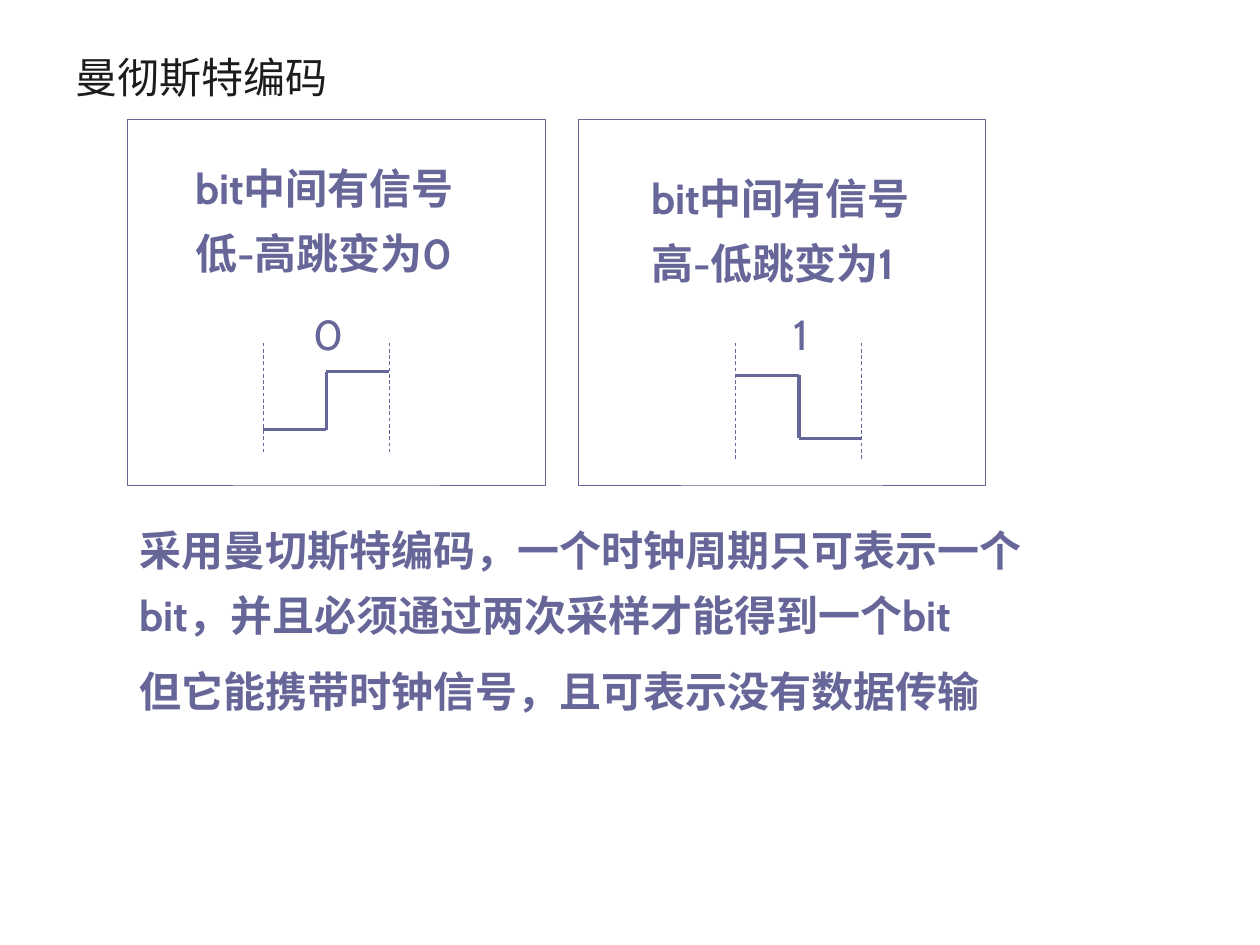
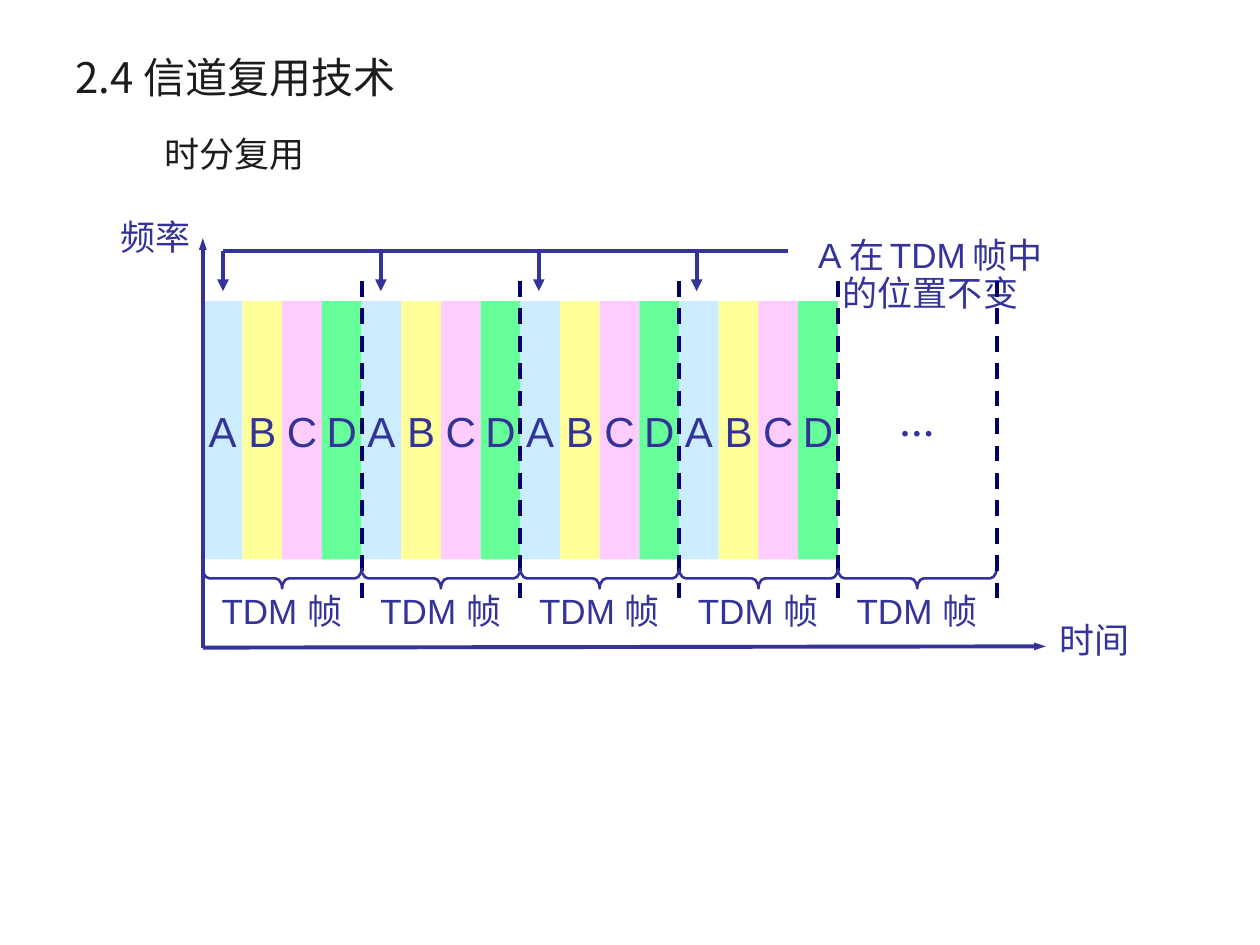
from lxml import etree
from pptx import Presentation
from pptx.dml.color import RGBColor
from pptx.enum.dml import MSO_LINE
from pptx.enum.shapes import MSO_CONNECTOR, MSO_SHAPE
from pptx.enum.text import MSO_ANCHOR, MSO_AUTO_SIZE, PP_ALIGN
from pptx.oxml.ns import qn
from pptx.util import Inches, Pt

STRAIGHT = MSO_CONNECTOR.STRAIGHT
RECT, BRACE = MSO_SHAPE.RECTANGLE, MSO_SHAPE.LEFT_BRACE
DASH = MSO_LINE.DASH
TOP, MIDDLE = MSO_ANCHOR.TOP, MSO_ANCHOR.MIDDLE
LEFT, CENTER = PP_ALIGN.LEFT, PP_ALIGN.CENTER
FIXED = MSO_AUTO_SIZE.NONE

COLORS = {
    "ink": "1C1C1C",
    "slate": "666699",
    "blue": "333399",
    "navy": "000066",
    "A": "CCECFF",
    "B": "FFFF99",
    "C": "FFCCFF",
    "D": "66FF99",
}
HAN = "Noto Sans CJK SC"
HEAD_BOX = (0.5, 0.3, 9, 0.61)


def rgb(name):
    return RGBColor.from_string(COLORS[name])


def place(shape, box):
    shape.left, shape.top, shape.width, shape.height = map(Inches, box)


def write(shape, paras, font, size, color, bold=False, align=LEFT,
          anchor=TOP, wrap=True, lead=None, gap=0):
    frame = shape.text_frame
    frame.auto_size = FIXED
    frame.word_wrap = wrap
    frame.vertical_anchor = anchor
    for i, runs in enumerate(paras):
        para = frame.add_paragraph() if i else frame.paragraphs[0]
        para.alignment = align
        para.line_spacing = lead
        para.space_before = Pt(gap if i else 0)
        for text, points in runs:
            run = para.add_run()
            run.text = text
            run.font.name = font
            run.font.size = Pt(points or size)
            run.font.bold = bold
            run.font.color.rgb = rgb(color)
            east = etree.SubElement(run.font._element, qn("a:ea"))
            east.set("typeface", HAN)


def label(slide, box, paras, *style, **more):
    shape = slide.shapes.add_textbox(*map(Inches, box))
    if isinstance(paras, str):
        paras = [[(paras, None)]]
    write(shape, paras, *style, **more)


def title(slide, text, box, size, align=LEFT):
    shape = slide.shapes.title
    place(shape, box)
    write(shape, [[(text, None)]], HAN, size, "ink", align=align, anchor=MIDDLE)


def outline(shape, color, width):
    shape.line.color.rgb = rgb(color)
    shape.line.width = Pt(width)


def line(slide, start, end, color, width, dash=False, head=None):
    link = slide.shapes.add_connector(STRAIGHT, *map(Inches, start + end))
    outline(link, color, width)
    if dash:
        link.line.dash_style = DASH
    if head:
        tip = etree.SubElement(link.line._get_or_add_ln(), qn("a:tailEnd"))
        tip.set("type", "triangle")
        tip.set("w", head)
    etree.SubElement(link._element.spPr, qn("a:effectLst"))


def frame(slide, box):
    shape = slide.shapes.add_shape(RECT, *map(Inches, box))
    shape.shadow.inherit = False
    shape.fill.background()
    outline(shape, "slate", 0.5)


def slot(slide, box, name):
    shape = slide.shapes.add_shape(RECT, *map(Inches, box))
    shape.shadow.inherit = False
    shape.fill.solid()
    shape.fill.fore_color.rgb = rgb(name)
    shape.line.fill.background()
    write(shape, [[(name, None)]], "Arial", 24, "blue", align=CENTER,
          anchor=MIDDLE, wrap=False)


def brace(slide, left, top, width, depth):
    mid = left + width / 2
    box = (mid - depth / 2, top + depth / 2 - width / 2, depth, width)
    shape = slide.shapes.add_shape(BRACE, *map(Inches, box))
    shape.rotation = 270
    shape.adjustments[0] = 0.33
    shape.shadow.inherit = False
    shape.fill.background()
    outline(shape, "blue", 1.5)


def wave(slide, left, base, first, last, bit):
    mid, right = left + 0.5, left + 1
    for x in (left, right):
        line(slide, (x, 2.72), (x, base), "slate", 0.5, dash=True)
    points = [(left, first), (mid, first), (mid, last), (right, last)]
    for start, end in zip(points, points[1:]):
        line(slide, start, end, "slate", 2)
    label(slide, (left + 0.25, 2.34, 0.53, 0.62), bit, "Cabin", 24, "slate",
          align=CENTER, anchor=MIDDLE, wrap=False)


def code_slide(slide):
    title(slide, "曼彻斯特编码", HEAD_BOX, 24)
    style = ("Cabin", 24, "slate", True)
    label(slide, (1.45, 1.12, 2.39, 1.28), "bit中间有信号低-高跳变为0",
          *style, lead=1.3)
    label(slide, (5.07, 1.2, 2.41, 1.2), "bit中间有信号高-低跳变为1",
          *style, lead=1.3)
    wave(slide, 2.09, 3.59, 3.41, 2.95, "0")
    wave(slide, 5.84, 3.65, 2.98, 3.48, "1")
    frame(slide, (1.01, 0.95, 3.32, 2.9))
    frame(slide, (4.59, 0.95, 3.23, 2.9))
    notes = [
        "采用曼切斯特编码，一个时钟周期只可表示一个bit，并且必须通过两次采样才能得到一个bit",
        "但它能携带时钟信号，且可表示没有数据传输",
    ]
    label(slide, (1.01, 3.99, 7.42, 1.75), [[(note, None)] for note in notes],
          *style, lead=1.3, gap=6)


def time_slide(slide):
    title(slide, "时分复用 ", (0.83, 0.91, 2.13, 0.61), 20, CENTER)
    label(slide, HEAD_BOX, "2.4 信道复用技术", HAN, 24, "ink", anchor=MIDDLE)

    left, cycle, names = 1.61, 1.26, "ABCD"
    step = cycle / len(names)
    starts = [left + cycle * i for i in range(5)]
    for start in starts[:4]:
        for i, name in enumerate(names):
            slot(slide, (start + step * i, 2.39, step, 2.05), name)

    for text, x, y in (("频率", 0.86, 1.7), ("时间", 8.31, 4.9)):
        label(slide, (x, y, 0.75, 0.4), text, "Times New Roman", 20, "blue",
              lead=0.9, wrap=False)
    label(slide, (7.04, 3.14, 0.48, 0.43), "…", "Times New Roman", 20, "blue",
          True, wrap=False)
    claim = [
        [("A 在", 20), (" ", 14), ("TDM", 20), (" ", 14), ("帧中", 20)],
        [("的位置不变", 20)],
    ]
    label(slide, (5.79, 1.84, 3.19, 0.7), claim, "Arial", 20, "blue",
          align=CENTER, lead=0.9)

    line(slide, (left, 5.14), (8.3, 5.13), "blue", 2.25, head="sm")
    line(slide, (left, 5.14), (left, 1.89), "blue", 2.25, head="sm")
    line(slide, (1.77, 1.99), (6.25, 1.99), "blue", 2.25)
    for i in range(4):
        x = 1.77 + 1.253 * i
        line(slide, (x, 1.99), (x, 2.31), "blue", 2.25, head="med")

    for start in starts:
        label(slide, (start + 0.05, 4.67, 1.22, 0.4), "TDM 帧", "Arial", 20,
              "blue", lead=0.9, wrap=False)
        brace(slide, start, 4.51, cycle, 0.16)
        end = start + cycle
        line(slide, (end, 2.23), (end, 4.83), "navy", 2.25, dash=True)


def main():
    deck = Presentation()
    deck.slide_width, deck.slide_height = Inches(10), Inches(7.5)
    for build in (code_slide, time_slide):
        build(deck.slides.add_slide(deck.slide_layouts[5]))
    deck.save("out.pptx")


if __name__ == "__main__":
    main()
